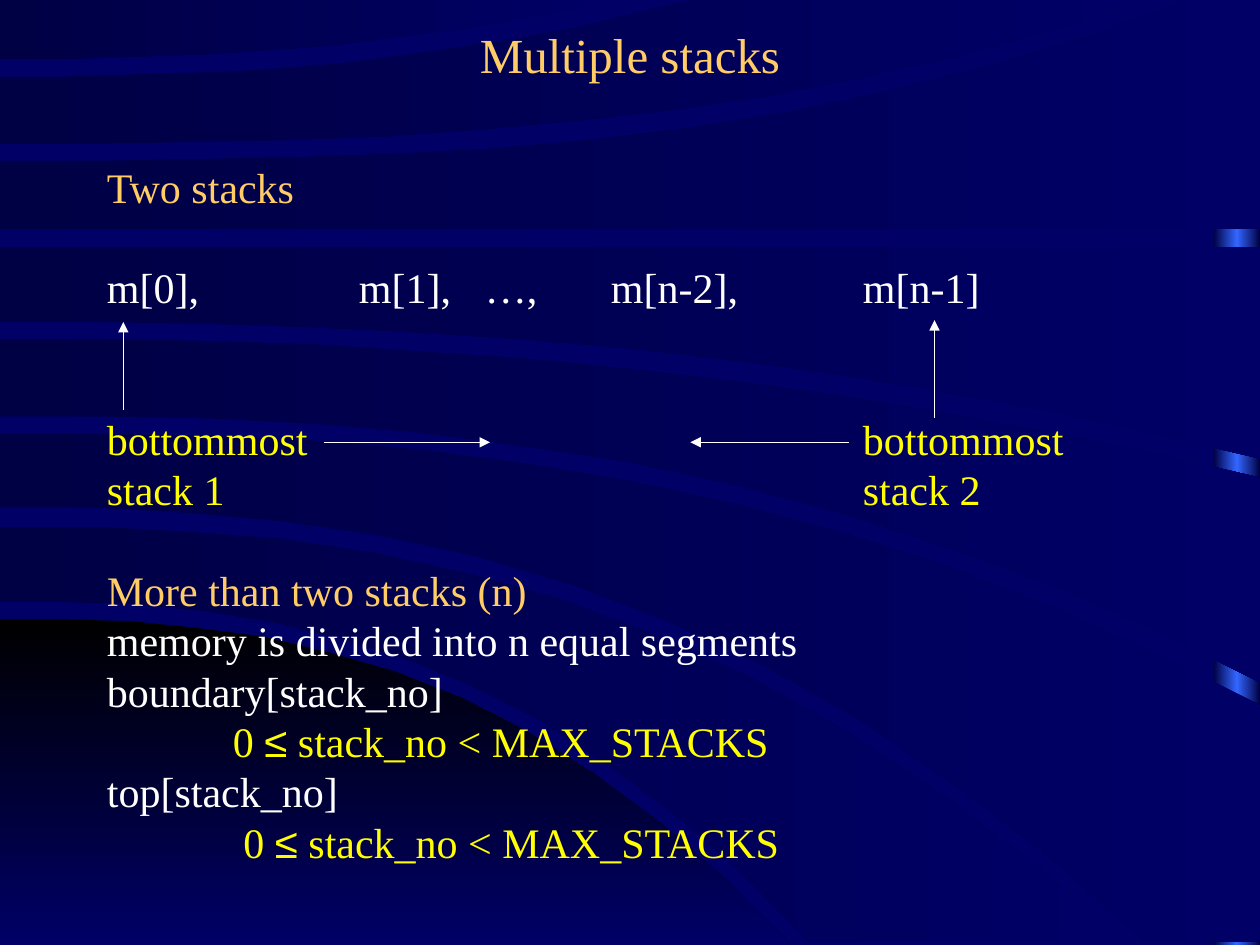
from dataclasses import dataclass
from typing import NamedTuple

from lxml.etree import SubElement
from pptx import Presentation
from pptx.dml.color import RGBColor
from pptx.enum.shapes import MSO_CONNECTOR, MSO_SHAPE
from pptx.enum.text import MSO_ANCHOR, MSO_AUTO_SIZE, PP_ALIGN
from pptx.oxml.ns import qn
from pptx.util import Pt


@dataclass(frozen=True)
class Theme:
    background: str = "000066"
    band: tuple = ("000044", "000066")
    corner: tuple = ("000000", "000066")
    edge: tuple = ("000044", "3366FF", "000044")
    heading: str = "FFCC66"
    body: str = "FFFFFF"
    accent: str = "FFFF00"
    font: str = "Times New Roman"
    symbol_font: str = "Arial"
    title_size: float = 28
    body_size: float = 24
    line_pitch: float = 28.8
    arrow_width: float = 0.75


class Rim(NamedTuple):
    start_y: float
    end_x: float
    end_y: float
    bend: float = 1

    def points(self):
        steps = 1 if self.bend == 1 else 12
        rise = self.end_y - self.start_y
        return [(self.end_x * step / steps,
                 self.start_y + rise * (step / steps) ** self.bend)
                for step in range(steps + 1)]


THEME = Theme()
TAB_STOPS = range(72, 505, 72)

CORNER = Rim(353.5, 452, 540, 2.6), Rim(540, 452, 540)
BANDS = [
    (Rim(301, 643, 538.5, 2.5), Rim(343.5, 462, 538.5, 2.6)),
    (Rim(247.5, 720, 403, 2.5), Rim(290, 654.5, 538.5, 2.5)),
    (Rim(193.5, 720, 273, 2.2), Rim(237.5, 720, 390, 2.5)),
    (Rim(141, 720, 141), Rim(183.5, 720, 262, 2.3)),
    (Rim(92, 677, 0, 2.9), Rim(131, 720, 131)),
    (Rim(44, 395, 0, 2.4), Rim(82, 657, 0, 2.7)),
    (Rim(0, 354, 0), Rim(34, 354, 0, 2.2)),
]

BOUNDS = ["0 ", "≤", " stack_no < MAX_STACKS"]
BODY_LINES = [
    (["Two stacks"], THEME.heading, 0),
    (["m[0], \t\tm[1],\t…, \tm[n-2],\tm[n-1]"], THEME.body, 1),
    (["bottommost\t\t\t\t\tbottommost"], THEME.accent, 2),
    (["stack 1\t\t\t\t\t\tstack 2"], THEME.accent, 0),
    (["More than two stacks (n)"], THEME.heading, 1),
    (["memory is divided into n equal segments"], THEME.body, 0),
    (["boundary[stack_no]"], THEME.body, 0),
    (["\t", *BOUNDS], THEME.accent, 0),
    (["top[stack_no]"], THEME.body, 0),
    (["\t ", *BOUNDS], THEME.accent, 0),
]

ARROWS = [
    ((185, 252.75), (280, 252.75)),
    ((485, 252.75), (394.5, 252.75)),
    ((70.5, 234), (70.5, 184)),
    ((534, 239), (534, 183)),
]


def paint_gradient(shape, colors, angle=0):
    shape.shadow.inherit = False
    shape.line.fill.background()
    shape.fill.gradient()
    shape.fill.gradient_angle = angle
    stops = shape._element.spPr.find(".//" + qn("a:gsLst"))
    for stop in list(stops):
        stops.remove(stop)
    for index, color in enumerate(colors):
        position = 100000 * index // (len(colors) - 1)
        stop = SubElement(stops, qn("a:gs"), pos=str(position))
        SubElement(stop, qn("a:srgbClr"), val=color)


def add_band(slide, upper, lower, colors, angle=0):
    far_corner = max(upper.end_x, lower.end_x), upper.end_y and lower.end_y
    outline = upper.points() + [far_corner] + lower.points()[::-1]
    builder = slide.shapes.build_freeform(*outline[0], scale=float(Pt(1)))
    builder.add_line_segments(outline[1:], close=True)
    paint_gradient(builder.convert_to_shape(), colors, angle)


def add_backdrop(slide):
    slide.background.fill.solid()
    slide.background.fill.fore_color.rgb = RGBColor.from_string(THEME.background)
    edge = slide.shapes.add_shape(MSO_SHAPE.RECTANGLE, Pt(693.5), 0, Pt(26.5), Pt(540))
    paint_gradient(edge, THEME.edge)
    add_band(slide, *CORNER, THEME.corner, 270)
    for upper, lower in BANDS:
        add_band(slide, upper, lower, THEME.band)


def style_paragraph(paragraph, size, color):
    paragraph.font.name = THEME.font
    paragraph.font.size = Pt(size)
    paragraph.font.color.rgb = RGBColor.from_string(color)


def add_title(slide, wording):
    frame = slide.shapes.add_textbox(Pt(54), Pt(7), Pt(612), Pt(48)).text_frame
    frame.word_wrap = True
    frame.vertical_anchor = MSO_ANCHOR.MIDDLE
    heading = frame.paragraphs[0]
    heading.text = wording
    heading.alignment = PP_ALIGN.CENTER
    style_paragraph(heading, THEME.title_size, THEME.heading)


def add_tab_stops(paragraph):
    tabs = SubElement(paragraph._p.get_or_add_pPr(), qn("a:tabLst"))
    for stop in TAB_STOPS:
        SubElement(tabs, qn("a:tab"), pos=str(Pt(stop)), algn="l")


def add_body(slide, lines):
    frame = slide.shapes.add_textbox(Pt(54), Pt(88.5), Pt(561), Pt(410.5)).text_frame
    frame.word_wrap = False
    frame.auto_size = MSO_AUTO_SIZE.SHAPE_TO_FIT_TEXT
    for index, (pieces, color, skipped_lines) in enumerate(lines):
        line = frame.add_paragraph() if index else frame.paragraphs[0]
        add_tab_stops(line)
        line.line_spacing = Pt(THEME.line_pitch)
        line.space_before = Pt(THEME.line_pitch * skipped_lines)
        style_paragraph(line, THEME.body_size, color)
        for piece in pieces:
            run = line.add_run()
            run.text = piece
            if piece == "≤":
                run.font.name = THEME.symbol_font


def add_arrow(slide, start, end):
    arrow = slide.shapes.add_connector(
        MSO_CONNECTOR.STRAIGHT, *(Pt(value) for value in start + end))
    arrow.line.color.rgb = RGBColor.from_string(THEME.body)
    arrow.line.width = Pt(THEME.arrow_width)
    SubElement(arrow.line._get_or_add_ln(), qn("a:tailEnd"), type="triangle")
    SubElement(arrow._element.spPr, qn("a:effectLst"))


def main():
    deck = Presentation()
    deck.slide_width, deck.slide_height = Pt(720), Pt(540)
    slide = deck.slides.add_slide(deck.slide_layouts[6])
    add_backdrop(slide)
    add_title(slide, "Multiple stacks")
    add_body(slide, BODY_LINES)
    for start, end in ARROWS:
        add_arrow(slide, start, end)
    deck.save("out.pptx")


if __name__ == "__main__":
    main()
